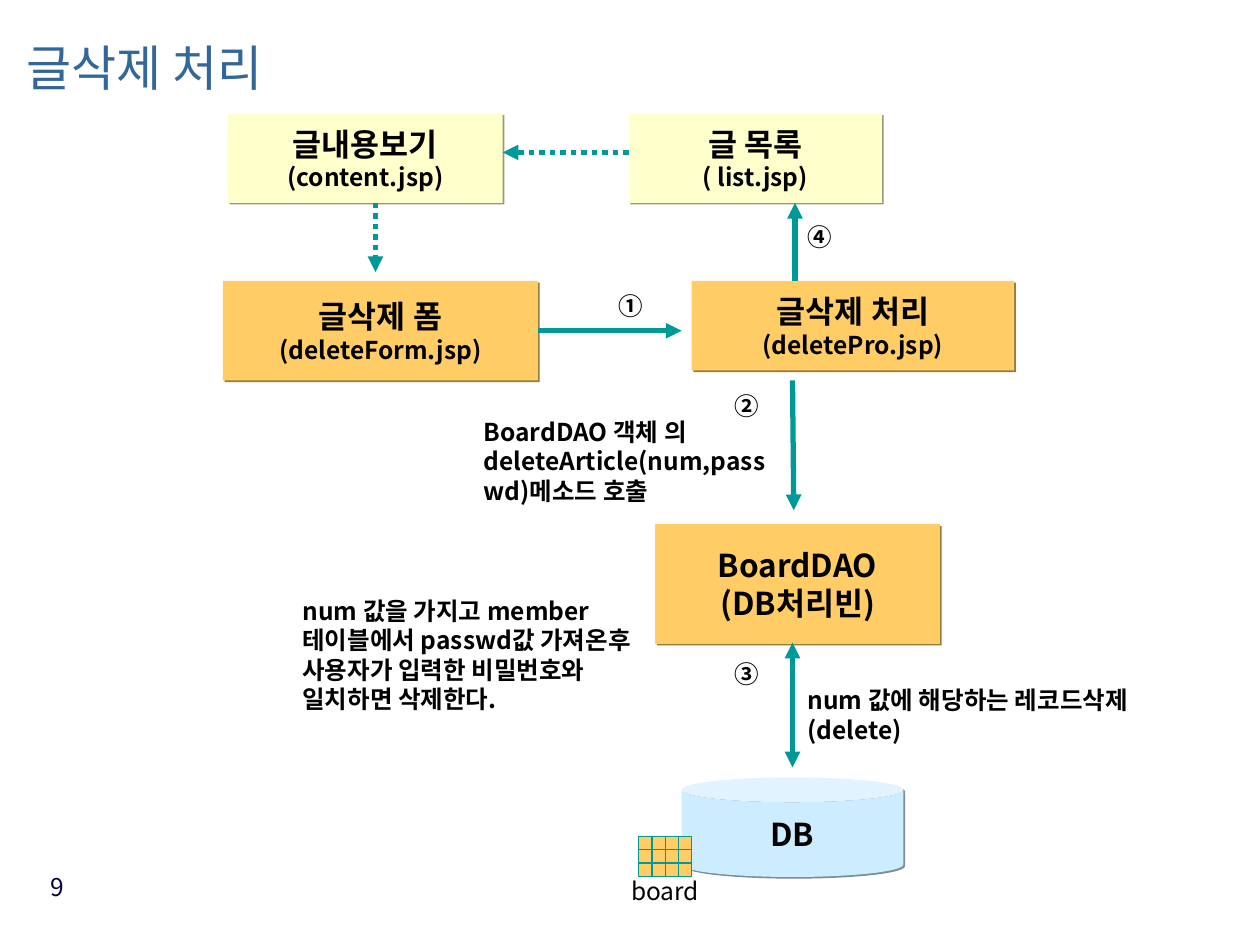
"""Builds the slide on the flow of deleting a board article."""
from lxml import etree
from pptx import Presentation
from pptx.dml.color import RGBColor
from pptx.enum.dml import MSO_LINE
from pptx.enum.shapes import MSO_CONNECTOR, MSO_SHAPE
from pptx.enum.text import MSO_ANCHOR, PP_ALIGN
from pptx.oxml.ns import qn
from pptx.util import Inches, Pt

RECT, CAN, LINE = MSO_SHAPE.RECTANGLE, MSO_SHAPE.CAN, MSO_CONNECTOR.STRAIGHT
DOT = MSO_LINE.ROUND_DOT
TOP, MID = MSO_ANCHOR.TOP, MSO_ANCHOR.MIDDLE
LEFT, MID_X, RIGHT = PP_ALIGN.LEFT, PP_ALIGN.CENTER, PP_ALIGN.RIGHT
INK, NAVY, BLUE = (RGBColor.from_string(c) for c in ("010000", "08003A", "336699"))
GOLD, CREAM, SKY = (RGBColor.from_string(c) for c in ("FFCC66", "FFFFCC", "CCECFF"))
TEAL = RGBColor.from_string("009999")
GOLD_DIM, CREAM_DIM, SKY_DIM = "997A3D", "99997A", "7A8E99"
FACE = "Noto Sans CJK KR"
WIDE, HIGH = Inches(10), Inches(7.5)
COLS, ROWS = 1000, 750

BOXES = {
    "form": (RECT, (177, 223, 250, 79), GOLD, GOLD_DIM, [("글삭제 폼", 18), ("(deleteForm.jsp)", 14)]),
    "pro": (RECT, (549, 223, 256, 71), GOLD, GOLD_DIM, [("글삭제 처리", 18), ("(deletePro.jsp)", 14)]),
    "dao": (RECT, (520, 416, 226, 95), GOLD, GOLD_DIM, [("BoardDAO", 18), ("(DB처리빈)", 18)]),
    "db": (CAN, (541, 617, 176, 79), SKY, SKY_DIM, [("DB", 18)]),
    "view": (RECT, (181, 90, 218, 71), CREAM, CREAM_DIM, [("글내용보기", 18), ("(content.jsp)", 14)]),
    "list": (RECT, (499, 90, 201, 71), CREAM, CREAM_DIM, [("글 목록", 18), ("( list.jsp)", 14)]),
}
ARROWS = [
    ((427, 262.5), (541, 262.5), {}, ["tailEnd"], "form"),
    ((629, 302), (630, 405), {}, ["tailEnd"], None),
    ((629, 609), (629, 510), {}, ["headEnd", "tailEnd"], None),
    ((499, 121), (399, 121), {"dash_style": DOT}, ["tailEnd"], None),
    ((298, 161), (298, 216), {"dash_style": DOT}, ["tailEnd"], None),
    ((631, 223), (631, 161), {}, ["tailEnd"], None),
]
NOTES = [
    ((374, 326, 251, 80), 10, "BoardDAO 객체 의 deleteArticle(num,passwd)메소드 호출"),
    ((240, 468, 276, 104), 0,
     "num 값을 가지고 member 테이블에서 passwd값 가져온후 사용자가 입력한 비밀번호와 일치하면 삭제한다."),
    ((641, 539, 276, 57), 0, "num 값에 해당하는 레코드삭제(delete)"),
]
STEPS = [("①", 491, 231), ("②", 583, 310), ("③", 583, 523), ("④", 641, 176)]
TABLE = {"left": 507, "top": 664, "cols": 4, "rows": 3, "pitch": 10.5}


def across(n):
    return round(WIDE * n / COLS)


def down(n):
    return round(HIGH * n / ROWS)


def place(spot):
    x, y, w, h = spot
    return across(x), down(y), across(w), down(h)


def write(shape, lines, color=INK, bold=True, align=LEFT, anchor=TOP, pad=(10, 5), wrap=True, gap=None):
    frame = shape.text_frame
    form = {"word_wrap": wrap, "vertical_anchor": anchor,
            "margin_left": across(pad[0]), "margin_right": across(pad[0]),
            "margin_top": down(pad[1]), "margin_bottom": down(pad[1])}
    for key, val in form.items():
        setattr(frame, key, val)
    for i, (words, size) in enumerate(lines):
        para = frame.add_paragraph() if i else frame.paragraphs[0]
        para.alignment, para.line_spacing = align, gap
        run = para.add_run()
        run.text = words
        for key, val in {"name": FACE, "size": Pt(size), "bold": bold}.items():
            setattr(run.font, key, val)
        run.font.color.rgb = color
        etree.SubElement(run.font._element, qn("a:ea"), typeface=FACE)


def label(slide, spot, words, size=14, **form):
    write(slide.shapes.add_textbox(*place(spot)), [(words, size)], **form)


def block(slide, kind, spot, fill):
    shape = slide.shapes.add_shape(kind, *place(spot))
    shape.shadow.inherit = False
    shape.fill.solid()
    shape.fill.fore_color.rgb = fill
    return shape


def box(slide, kind, spot, fill, shade, lines):
    shape = block(slide, kind, spot, fill)
    shape.line.fill.background()
    glow = shape._element.spPr.find(qn("a:effectLst"))
    cast = etree.SubElement(glow, qn("a:outerShdw"), dist=str(Pt(1.4)), dir="2700000", algn="ctr", rotWithShape="0")
    etree.SubElement(cast, qn("a:srgbClr"), val=shade)
    write(shape, lines, align=MID_X, anchor=MID, wrap=False)
    return shape


def arrow(slide, start, end, form, tips, source):
    wire = slide.shapes.add_connector(
        LINE, across(start[0]), down(start[1]), across(end[0]), down(end[1]))
    if source:
        wire.begin_connect(source, 3)
    wire.line.color.rgb = TEAL
    for key, val in {"width": Pt(3), **form}.items():
        setattr(wire.line, key, val)
    for tip in tips:
        etree.SubElement(wire.line._get_or_add_ln(), qn("a:" + tip), type="triangle")
    etree.SubElement(wire._element.spPr, qn("a:effectLst"))


def grid(slide, left, top, cols, rows, pitch):
    for row in range(rows):
        for col in range(cols):
            cell = block(slide, RECT, (left + col * pitch, top + row * pitch, pitch, pitch), GOLD)
            cell.line.color.rgb = TEAL
            cell.line.width = Pt(0.75)


def main():
    deck = Presentation()
    deck.slide_width, deck.slide_height = WIDE, HIGH
    slide = deck.slides.add_slide(deck.slide_layouts[6])
    label(slide, (11, 8, 327, 101), "글삭제 처리", 28, color=BLUE, bold=False, anchor=MID, gap=0.7)
    label(slide, (14, 687, 47, 52), "9", color=NAVY, bold=False, align=RIGHT)
    made = {name: box(slide, *data) for name, data in BOXES.items()}
    for start, end, form, tips, source in ARROWS:
        arrow(slide, start, end, form, tips, made.get(source))
    grid(slide, **TABLE)
    label(slide, (491, 690, 109, 34), "board", bold=False)
    for spot, side, words in NOTES:
        label(slide, spot, words, pad=(side, 5))
    for mark, x, y in STEPS:
        label(slide, (x, y, 25, 23), mark, pad=(0, 0))
    deck.save("out.pptx")


if __name__ == "__main__":
    main()
